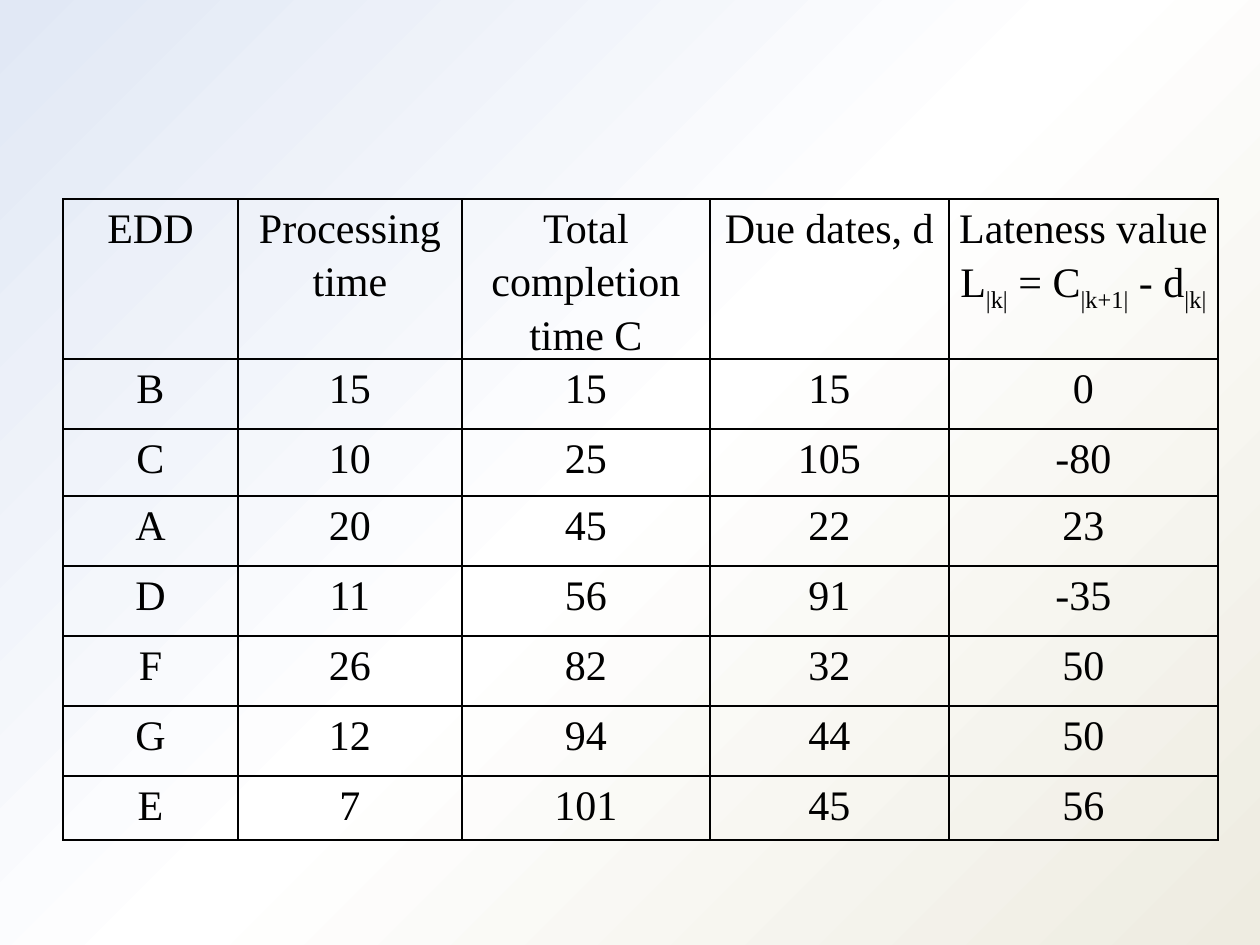
from copy import deepcopy

from lxml.etree import SubElement
from pptx import Presentation
from pptx.dml.color import RGBColor
from pptx.enum.text import PP_ALIGN
from pptx.oxml.ns import qn
from pptx.util import Emu, Pt

SCALE = 914400 // 126
BLACK = RGBColor(0x00, 0x00, 0x00)
WHITE = RGBColor(0xFF, 0xFF, 0xFF)
PALE_BLUE = RGBColor(0xE1, 0xE8, 0xF5)
CREAM = RGBColor(0xEE, 0xEC, 0xE1)


def px(n):
    return Emu(n * SCALE)


class Deck:
    font, size, line_spacing = "Times New Roman", Pt(24), 1.15
    margin, border = px(9), Pt(1)

    def __init__(self, width, height):
        self.prs = Presentation()
        self.prs.slide_width, self.prs.slide_height = px(width), px(height)

    def slide(self):
        self.s = self.prs.slides.add_slide(self.prs.slide_layouts[6])

    def background(self, colors, angle):
        fill = self.s.background.fill
        fill.gradient()
        fill.gradient_angle = angle
        stops = next(self.s.element.iter(qn("a:gsLst")))
        while len(stops) < len(colors):
            stops.append(deepcopy(stops[0]))
        for i, (stop, color) in enumerate(zip(fill.gradient_stops, colors)):
            stop.position = i / (len(colors) - 1)
            stop.color.rgb = color

    def table(self, x, y, widths, heights, rows):
        frame = self.s.shapes.add_table(len(rows), len(widths), px(x), px(y),
                                        px(sum(widths)), px(sum(heights)))
        table = frame.table
        table.first_row = table.horz_banding = False
        for column, width in zip(table.columns, widths):
            column.width = px(width)
        for row, height, values in zip(table.rows, heights, rows):
            row.height = px(height)
            for cell, value in zip(row.cells, values):
                self.cell(cell, value)

    def cell(self, cell, value):
        cell.margin_left = cell.margin_right = self.margin
        cell.margin_top = cell.margin_bottom = 0
        tf = cell.text_frame
        for i, line in enumerate(value.split("\n")):
            p = tf.paragraphs[0] if i == 0 else tf.add_paragraph()
            self.paragraph(p, line)
        self.borders(cell)
        cell.fill.background()

    def paragraph(self, p, line):
        p.alignment, p.line_spacing = PP_ALIGN.CENTER, self.line_spacing
        p.font.name, p.font.size = self.font, self.size
        p.font.color.rgb = BLACK
        for i, text in enumerate(line.split("_")):
            r = p.add_run()
            r.text = text
            r.font.name, r.font.size = self.font, self.size
            r.font.color.rgb = BLACK
            if i % 2:
                r.font._element.set("baseline", "-25000")

    def borders(self, cell):
        props = cell._tc.get_or_add_tcPr()
        for side in ("lnL", "lnR", "lnT", "lnB"):
            ln = SubElement(props, qn(f"a:{side}"), w=str(self.border))
            fill = SubElement(ln, qn("a:solidFill"))
            SubElement(fill, qn("a:srgbClr"), val=str(BLACK))


HEADERS = ["EDD", "Processing time", "Total completion time C", "Due dates, d",
           "Lateness value\nL_|k|_ = C_|k+1|_ - d_|k|"]
JOBS = [
    ("B", 15, 15, 15, 0),
    ("C", 10, 25, 105, -80),
    ("A", 20, 45, 22, 23),
    ("D", 11, 56, 91, -35),
    ("F", 26, 82, 32, 50),
    ("G", 12, 94, 44, 50),
    ("E", 7, 101, 45, 56),
]

deck = Deck(1260, 945)
deck.slide()
deck.background([PALE_BLUE, WHITE, CREAM], 315)
deck.table(63, 199, [175, 224, 248, 239, 269],
           [127, 70, 67, 70, 70, 70, 70, 64],
           [HEADERS] + [[str(v) for v in job] for job in JOBS])
deck.prs.save("out.pptx")
